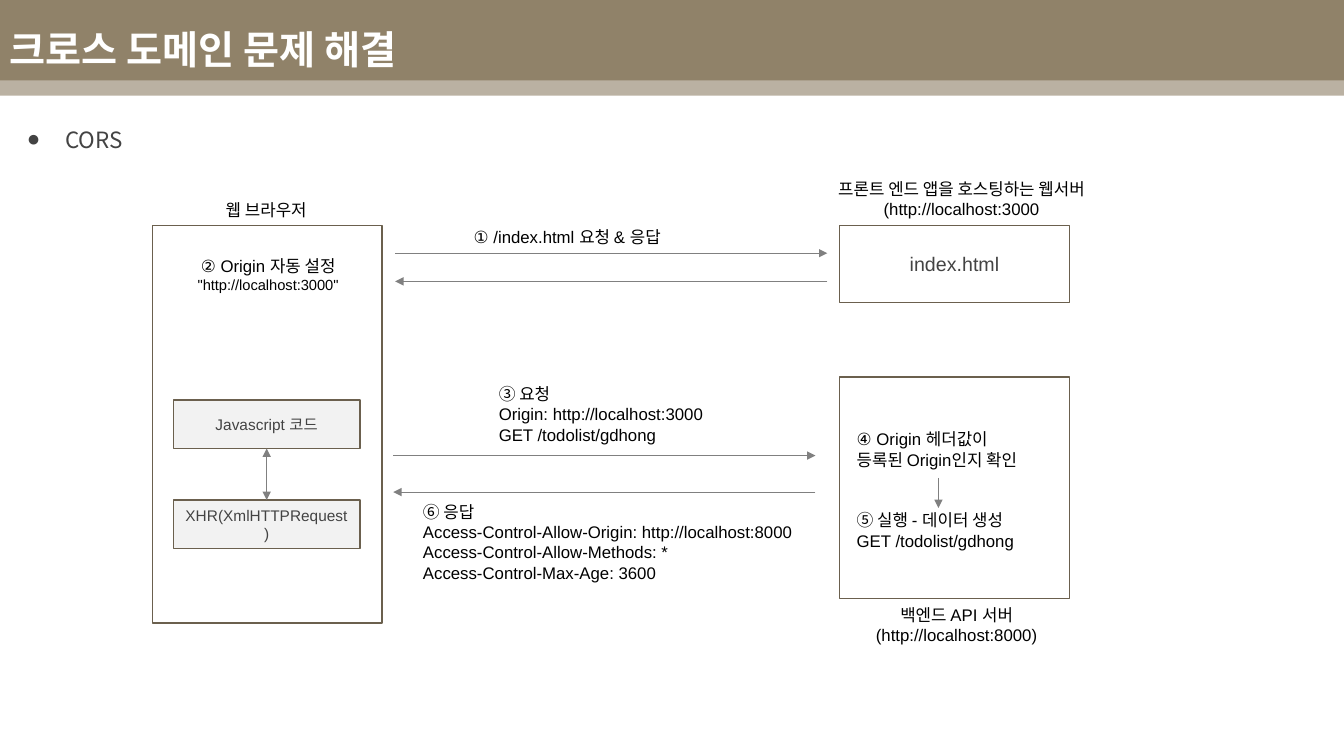
from dataclasses import dataclass
from lxml.etree import SubElement
from pptx import Presentation
from pptx.dml.color import RGBColor as RGB
from pptx.enum.shapes import MSO_CONNECTOR as LINK, MSO_SHAPE as SHAPE
from pptx.enum.text import MSO_ANCHOR as ANCHOR, MSO_AUTO_SIZE as FIT, PP_ALIGN as ALIGN
from pptx.oxml.ns import qn
from pptx.util import Cm, Pt


@dataclass(frozen=True)
class Theme:
    band: RGB = RGB(0x90, 0x82, 0x69)
    edge: RGB = RGB(0x6B, 0x60, 0x4E)
    wire: RGB = RGB(0x80, 0x80, 0x80)
    white: RGB = RGB(0xFF, 0xFF, 0xFF)
    pale: RGB = RGB(0xF2, 0xF2, 0xF2)
    dark: RGB = RGB(0x43, 0x43, 0x43)
    black: RGB = RGB(0, 0, 0)
    latin: str = "Arial"
    korean: str = "Noto Sans CJK KR"
    title: float = 28
    body: float = 16
    page: float = 14
    note: float = 12
    code: float = 11
    small: float = 10.5


T = Theme()


def style(par, size, color, name=T.latin, bold=False):
    font = par.font
    font.size, font.name, font.bold = Pt(size), name, bold
    font.color.rgb = color
    props = par._p.pPr.find(qn("a:defRPr"))
    SubElement(props, qn("a:ea")).set("typeface", T.korean)


def place(item, x, y, w, h):
    item.left, item.top, item.width, item.height = Cm(x), Cm(y), Cm(w), Cm(h)


def inset(frame, gap):
    frame.margin_left = frame.margin_right = Cm(gap)
    frame.margin_top = frame.margin_bottom = Cm(gap)


def band(slide, y, h, alpha=None):
    bar = slide.shapes.add_shape(SHAPE.RECTANGLE, 0, Cm(y), Cm(33.87), Cm(h))
    bar.shadow.inherit = False
    bar.fill.solid()
    bar.fill.fore_color.rgb = T.band
    bar.line.fill.background()
    if alpha:
        tint = bar.fill._xPr.find(qn("a:solidFill"))[0]
        SubElement(tint, qn("a:alpha")).set("val", str(alpha * 1000))
    return bar


def head(slide, text):
    title = slide.shapes.title
    place(title, 0, 0.38, 30.48, 1.65)
    frame = title.text_frame
    frame.text = text
    frame.auto_size = FIT.NONE
    frame.vertical_anchor = ANCHOR.TOP
    inset(frame, 0.25)
    par = frame.paragraphs[0]
    par.alignment = ALIGN.LEFT
    style(par, T.title, T.white, T.korean, True)


def topic(slide, text):
    body = slide.placeholders[1]
    place(body, 0, 2.82, 32.64, 15.21)
    frame = body.text_frame
    frame.text = text
    frame.auto_size = FIT.NONE
    inset(frame, 0.25)
    par = frame.paragraphs[0]
    par.line_spacing, par.space_before = 1.15, Pt(0)
    style(par, T.body, T.dark, T.korean)
    # Bullet and hanging indent
    props = par._p.pPr
    props.set("marL", str(Cm(1.4)))
    props.set("indent", str(Cm(-0.97)))
    tint = SubElement(props, qn("a:buClr"))
    SubElement(tint, qn("a:srgbClr")).set("val", str(T.dark))
    mark = SubElement(props, qn("a:buChar"))
    mark.set("char", "●")
    props.find(qn("a:defRPr")).addprevious(tint)
    tint.addnext(mark)


def box(slide, x, y, w, h, fill=T.white, text="", size=T.code):
    item = slide.shapes.add_shape(SHAPE.RECTANGLE, Cm(x), Cm(y), Cm(w), Cm(h))
    item.shadow.inherit = False
    item.fill.solid()
    item.fill.fore_color.rgb = fill
    item.line.color.rgb, item.line.width = T.edge, Pt(1)
    if text:
        frame = item.text_frame
        frame.text = text
        frame.vertical_anchor = ANCHOR.MIDDLE
        par = frame.paragraphs[0]
        par.alignment = ALIGN.CENTER
        style(par, size, T.dark)
    return item


def note(slide, x, y, w, h, lines, align=ALIGN.LEFT):
    frame = slide.shapes.add_textbox(Cm(x), Cm(y), Cm(w), Cm(h)).text_frame
    frame.word_wrap = False
    frame.auto_size = FIT.SHAPE_TO_FIT_TEXT
    frame.text = "\n".join(lines)
    for par in frame.paragraphs:
        par.alignment = align
        style(par, T.note, T.black)
    return frame


def arrow(slide, x1, y1, x2, y2, both=False):
    link = slide.shapes.add_connector(LINK.STRAIGHT, Cm(x1), Cm(y1), Cm(x2), Cm(y2))
    link.line.color.rgb, link.line.width = T.wire, Pt(0.75)
    line = link.line._get_or_add_ln()
    for end in ("a:headEnd", "a:tailEnd") if both else ("a:tailEnd",):
        SubElement(line, qn(end)).set("type", "triangle")
    SubElement(link._element.spPr, qn("a:effectLst"))
    return link


def trade(slide, left, right, out, back):
    arrow(slide, left, out, right, out)
    arrow(slide, right, back, left, back)


def main():
    deck = Presentation()
    deck.slide_width, deck.slide_height = Cm(33.87), Cm(19.05)
    slide = deck.slides.add_slide(deck.slide_layouts[1])

    # Header bands, behind the title
    tree = slide.shapes._spTree
    for bar in (band(slide, 1.65, 0.76, 62), band(slide, 0, 2.03)):
        tree.insert(2, bar._element)
    head(slide, "크로스 도메인 문제 해결")
    topic(slide, "CORS")

    # Browser
    box(slide, 3.84, 5.69, 5.79, 10.01)
    note(slide, 5.44, 4.9, 2.79, 0.76, ["웹 브라우저"])
    origin = note(slide, 4.6, 6.32, 4.32, 1.22,
                  ["② Origin 자동 설정", '"http://localhost:3000"'], ALIGN.CENTER)
    origin.paragraphs[1].font.size = Pt(T.small)
    code = box(slide, 4.37, 10.08, 4.7, 1.22, T.pale, "Javascript 코드")
    xhr = box(slide, 4.37, 12.6, 4.7, 1.22, T.pale, "XHR(XmlHTTPRequest)")
    link = arrow(slide, 6.72, 11.3, 6.72, 12.6, True)
    link.begin_connect(code, 2)
    link.end_connect(xhr, 0)

    # Web server
    box(slide, 21.16, 5.69, 5.79, 1.93, text="index.html", size=T.page)
    note(slide, 20.4, 4.37, 7.67, 1.27,
         ["프론트 엔드 앱을 호스팅하는 웹서버", "(http://localhost:3000"], ALIGN.CENTER)
    trade(slide, 9.96, 20.85, 6.38, 7.09)
    note(slide, 11.4, 5.59, 5.79, 0.76, ["① /index.html 요청 & 응답"], ALIGN.CENTER)

    # API server
    box(slide, 21.16, 9.5, 5.79, 5.59)
    note(slide, 21.34, 10.69, 5, 1.27, ["④ Origin 헤더값이", "등록된 Origin인지 확인"])
    arrow(slide, 23.65, 12.04, 23.65, 12.8)
    note(slide, 21.34, 12.73, 5, 1.27, ["⑤ 실행 - 데이터 생성", "GET /todolist/gdhong"])
    note(slide, 21.62, 15.11, 4.98, 1.27,
         ["백엔드 API 서버", "(http://localhost:8000)"], ALIGN.CENTER)

    # Cross-origin request and reply
    trade(slide, 9.91, 20.55, 11.48, 12.4)
    note(slide, 12.32, 9.55, 5.97, 1.8,
         ["③ 요청", "Origin: http://localhost:3000", "GET /todolist/gdhong"])
    note(slide, 10.41, 12.52, 10.29, 2.31,
         ["⑥ 응답", "Access-Control-Allow-Origin: http://localhost:8000",
          "Access-Control-Allow-Methods: *", "Access-Control-Max-Age: 3600"])

    deck.save("out.pptx")


if __name__ == "__main__":
    main()
